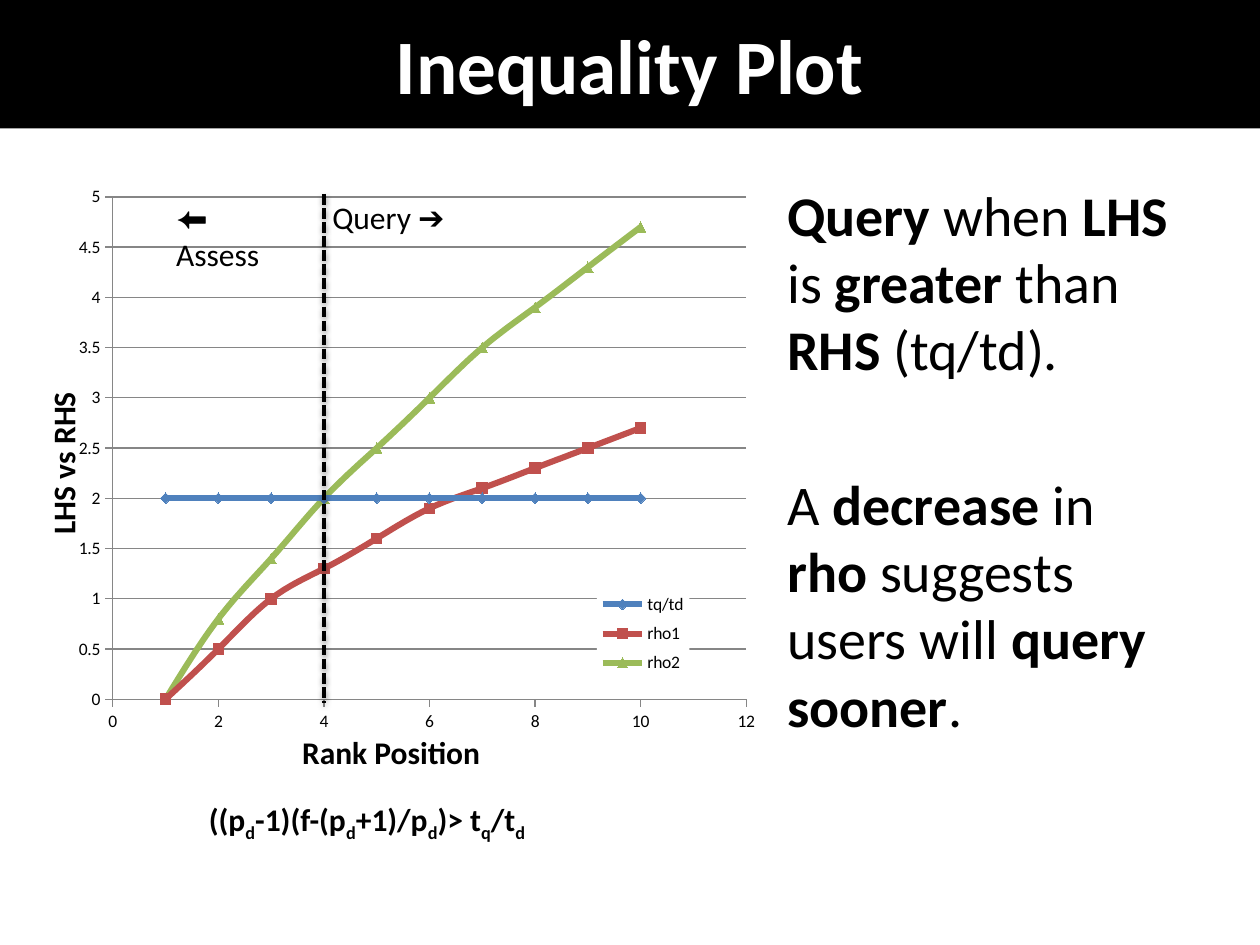
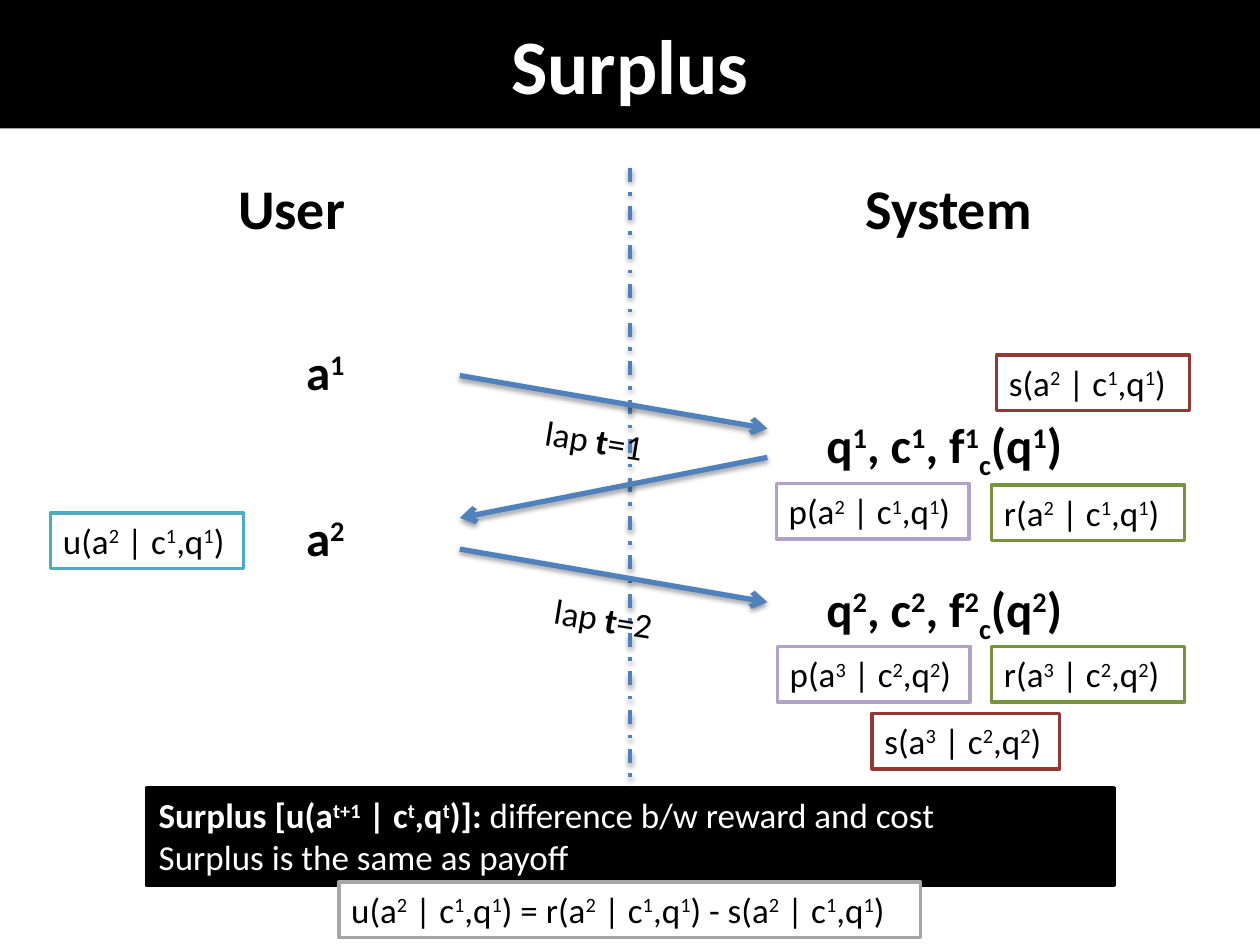
from dataclasses import dataclass
from typing import Optional

from lxml.etree import SubElement
from pptx import Presentation
from pptx.chart.data import XyChartData
from pptx.dml.color import RGBColor
from pptx.enum.chart import XL_CHART_TYPE, XL_LEGEND_POSITION, XL_MARKER_STYLE, XL_TICK_MARK
from pptx.enum.dml import MSO_LINE
from pptx.enum.shapes import MSO_CONNECTOR, MSO_SHAPE
from pptx.enum.text import MSO_ANCHOR, MSO_AUTO_SIZE, PP_ALIGN
from pptx.oxml import parse_xml
from pptx.oxml.ns import nsdecls, qn
from pptx.util import Cm, Pt

FONT = "Calibri"
BLACK = "000000"
WHITE = "FFFFFF"
BLUE = "4F81BD"
GRID = "868686"
PURPLE = "B3A2C7"
GREEN = "77933C"
RED = "953735"
TEAL = "4BACC6"
GRAY = "A6A6A6"
SLIDE_WIDTH = 25.4
SLIDE_HEIGHT = 19.05
BAND_HEIGHT = 2.59
SUPERSCRIPT = 30
SUBSCRIPT = -25


@dataclass(frozen=True)
class Run:
    text: str
    bold: Optional[bool] = None
    baseline: int = 0
    font: str = FONT


@dataclass(frozen=True)
class Label:
    left: float
    top: float
    width: float
    height: float
    paragraphs: list
    size: int = 20
    bold: bool = False
    color: str = BLACK
    fill: Optional[str] = None
    outline: Optional[str] = None
    rotation: float = 0
    wrap: bool = False
    gap: float = 0


@dataclass(frozen=True)
class Line:
    start_x: float
    start_y: float
    end_x: float
    end_y: float
    color: str = BLUE
    width: float = 3
    dash: Optional[MSO_LINE] = None
    arrow: bool = False


@dataclass(frozen=True)
class Curve:
    name: str
    values: list
    color: str
    marker: XL_MARKER_STYLE


def rgb(color: str) -> RGBColor:
    return RGBColor.from_string(color)


def alternating(baseline: int, *texts: str) -> list:
    return [Run(text, baseline=baseline * (index % 2)) for index, text in enumerate(texts)]


def emphasized(*texts: str) -> list:
    return [Run(text, bold=index % 2 == 1) for index, text in enumerate(texts) if text]


def score(name: str, action: int, lap: int) -> list:
    return alternating(SUPERSCRIPT, f"{name}(a", str(action), " | c", str(lap), ",q", str(lap), ")")


def add_run(paragraph, content: Run, size: int, bold: bool, color: str) -> None:
    run = paragraph.add_run()
    run.text = content.text
    run.font.name = content.font
    run.font.size = Pt(size)
    run.font.bold = bold if content.bold is None else content.bold
    run.font.color.rgb = rgb(color)
    if content.baseline:
        run._r.get_or_add_rPr().set("baseline", str(content.baseline * 1000))


def add_label(slide, label: Label) -> None:
    shape = slide.shapes.add_textbox(
        Cm(label.left), Cm(label.top), Cm(label.width), Cm(label.height)
    )
    shape.rotation = label.rotation
    if label.fill:
        shape.fill.solid()
        shape.fill.fore_color.rgb = rgb(label.fill)
    if label.outline:
        shape.line.color.rgb = rgb(label.outline)
        shape.line.width = Pt(2)
    frame = shape.text_frame
    frame.word_wrap = label.wrap
    frame.auto_size = MSO_AUTO_SIZE.SHAPE_TO_FIT_TEXT
    for index, runs in enumerate(label.paragraphs):
        paragraph = frame.add_paragraph() if index else frame.paragraphs[0]
        if index:
            paragraph.space_before = Pt(label.gap)
        for content in runs:
            add_run(paragraph, content, label.size, label.bold, label.color)


def add_line(slide, line: Line) -> None:
    connector = slide.shapes.add_connector(
        MSO_CONNECTOR.STRAIGHT,
        Cm(line.start_x), Cm(line.start_y), Cm(line.end_x), Cm(line.end_y),
    )
    connector.line.color.rgb = rgb(line.color)
    connector.line.width = Pt(line.width)
    if line.dash:
        connector.line.dash_style = line.dash
    properties = connector._element.spPr
    if line.arrow:
        SubElement(properties.find(qn("a:ln")), qn("a:tailEnd"), type="arrow")
    properties.append(parse_xml(
        f'<a:effectLst {nsdecls("a")}><a:outerShdw blurRad="{Pt(3.1)}" dist="{Pt(1.6)}" '
        'dir="5400000" rotWithShape="0"><a:srgbClr val="000000"><a:alpha val="38000"/>'
        "</a:srgbClr></a:outerShdw></a:effectLst>"
    ))


def add_titled_slide(presentation, title: str):
    slide = presentation.slides.add_slide(presentation.slide_layouts[6])
    band = slide.shapes.add_shape(
        MSO_SHAPE.RECTANGLE, 0, 0, Cm(SLIDE_WIDTH), Cm(BAND_HEIGHT)
    )
    band.shadow.inherit = False
    band.fill.solid()
    band.fill.fore_color.rgb = rgb(BLACK)
    band.line.fill.background()
    band.text_frame.vertical_anchor = MSO_ANCHOR.MIDDLE
    paragraph = band.text_frame.paragraphs[0]
    paragraph.alignment = PP_ALIGN.CENTER
    add_run(paragraph, Run(title), 44, True, WHITE)
    return slide


def manual_layout(left: float, top: float, width: float, height: float, target: str = ""):
    return parse_xml(
        f'<c:layout {nsdecls("c")}><c:manualLayout>{target}'
        '<c:xMode val="edge"/><c:yMode val="edge"/>'
        f'<c:x val="{left}"/><c:y val="{top}"/><c:w val="{width}"/><c:h val="{height}"/>'
        "</c:manualLayout></c:layout>"
    )


def style_axis(axis, maximum: float, step: float, gridlines: bool) -> None:
    axis.minimum_scale = 0
    axis.maximum_scale = maximum
    axis.major_unit = step
    axis.major_tick_mark = XL_TICK_MARK.OUTSIDE
    axis.minor_tick_mark = XL_TICK_MARK.NONE
    axis.has_major_gridlines = gridlines
    axis.tick_labels.number_format = "General"
    axis.tick_labels.number_format_is_linked = False
    lines = [axis.format.line]
    if gridlines:
        lines.append(axis.major_gridlines.format.line)
    for line in lines:
        line.color.rgb = rgb(GRID)
        line.width = Pt(0.75)


def add_inequality_chart(slide, curves: list) -> None:
    data = XyChartData()
    for curve in curves:
        points = data.add_series(curve.name)
        for rank, value in enumerate(curve.values, start=1):
            points.add_data_point(rank, value)
    chart = slide.shapes.add_chart(
        XL_CHART_TYPE.XY_SCATTER_SMOOTH, Cm(1.27), Cm(3.51), Cm(14.35), Cm(11.51), data
    ).chart
    chart.has_title = False
    chart.font.name = FONT
    chart.font.size = Pt(10)
    chart.font.color.rgb = rgb(BLACK)
    chart.plots[0].vary_by_categories = False
    style_axis(chart.category_axis, 12, 2, False)
    style_axis(chart.value_axis, 5, 0.5, True)
    for series, curve in zip(chart.plots[0].series, curves):
        series.format.line.color.rgb = rgb(curve.color)
        series.format.line.width = Pt(3.5)
        series.marker.style = curve.marker
        series.marker.size = 6
        series.marker.format.fill.solid()
        series.marker.format.fill.fore_color.rgb = rgb(curve.color)
        series.marker.format.line.color.rgb = rgb(curve.color)
    chart.has_legend = True
    chart.legend.position = XL_LEGEND_POSITION.RIGHT
    chart.legend.include_in_layout = False

    chart_space = chart._chartSpace
    for smooth in chart_space.iter(qn("c:smooth")):
        smooth.set("val", "1")
    plot_area = next(chart_space.iter(qn("c:plotArea")))
    legend = next(chart_space.iter(qn("c:legend")))
    for parent in (plot_area, legend):
        for layout in parent.findall(qn("c:layout")):
            parent.remove(layout)
    plot_area.insert(
        0, manual_layout(0.07, 0.04, 0.89, 0.88, '<c:layoutTarget val="inner"/>')
    )
    overlay = legend.find(qn("c:overlay"))
    overlay.addprevious(manual_layout(0.75, 0.72, 0.13, 0.17))
    overlay.addnext(parse_xml(
        f'<c:spPr {nsdecls("c", "a")}><a:solidFill><a:srgbClr val="{WHITE}"/>'
        "</a:solidFill></c:spPr>"
    ))


def build_inequality_slide(presentation) -> None:
    slide = add_titled_slide(presentation, "Inequality Plot")
    rule = emphasized(
        "", "Query", " when ", "LHS", " is ", "greater", " than ", "RHS", " (tq/td)."
    )
    effect = emphasized(
        "A ", "decrease", " in ", "rho", " suggests users will ", "query sooner", "."
    )
    add_label(slide, Label(15.62, 3.51, 8.51, 13.51, [rule, effect], 32, wrap=True, gap=50))
    add_inequality_chart(slide, [
        Curve("tq/td", [2] * 10, BLUE, XL_MARKER_STYLE.DIAMOND),
        Curve("rho1", [0, 0.5, 1, 1.3, 1.6, 1.9, 2.1, 2.3, 2.5, 2.7], "C0504D",
              XL_MARKER_STYLE.SQUARE),
        Curve("rho2", [0, 0.8, 1.4, 2, 2.5, 3, 3.5, 3.9, 4.3, 4.7], "9BBB59",
              XL_MARKER_STYLE.TRIANGLE),
    ])
    add_line(slide, Line(6.53, 3.91, 6.53, 14.17, BLACK, 2, MSO_LINE.SQUARE_DOT))
    inequality = alternating(
        SUBSCRIPT, "((p", "d", "-1)(f-(p", "d", "+1)/p", "d", ")> t", "q", "/t", "d"
    )
    for label in (
        Label(5.84, 14.66, 4.14, 1.02, [[Run("Rank Position")]], 18, True),
        Label(-0.43, 8.81, 3.4, 1.02, [[Run("LHS vs RHS")]], 18, True, rotation=270),
        Label(3.3, 3.86, 2.9, 1.02, [[Run("⬅", font="Arial"), Run(" Assess")]], 18),
        Label(6.45, 3.86, 2.8, 1.02, [[Run("Query "), Run("➔", font="Arial")]], 18),
        Label(3.96, 16, 7.11, 1.02, [inequality], 18, True),
    ):
        add_label(slide, label)


def build_surplus_slide(presentation) -> None:
    slide = add_titled_slide(presentation, "Surplus")
    add_line(slide, Line(12.7, 3.38, 12.7, 18.03, width=2, dash=MSO_LINE.DASH_DOT))
    for left, width, heading in ((4.55, 2.69, "User"), (17.2, 3.94, "System")):
        add_label(slide, Label(left, 3.38, width, 1.63, [[Run(heading)]], 32, True))
    for start_x, start_y, end_x, end_y in (
        (9.27, 7.57, 15.47, 8.64), (9.27, 11.07, 15.47, 12.14), (15.47, 9.22, 9.27, 10.44)
    ):
        add_line(slide, Line(start_x, start_y, end_x, end_y, arrow=True))

    for lap, action_top, query_top, lap_left, lap_top in (
        (1, 6.76, 8.23, 10.74, 8.31), (2, 10.11, 11.53, 10.92, 11.91)
    ):
        number = str(lap)
        action = alternating(SUPERSCRIPT, "a", number)
        query = [
            *alternating(SUPERSCRIPT, "q", number, ", c", number, ", f", number),
            Run("c", baseline=SUBSCRIPT),
            *alternating(SUPERSCRIPT, "(q", number, ")"),
        ]
        add_label(slide, Label(5.92, action_top, 1.35, 1.45, [action], 28, True))
        add_label(slide, Label(16.41, query_top, 5.54, 1.45, [query], 28, True))
        caption = emphasized("lap ", "t", f"={lap}")
        add_label(slide, Label(lap_left, lap_top, 2.51, 1.12, [caption], rotation=9.2))

    definition = [
        Run(run.text, True, run.baseline)
        for run in alternating(SUPERSCRIPT, "Surplus [u(a", "t+1", " | c", "t", ",q", "t", ")]:")
    ] + [Run(" difference b/w reward and cost")]
    add_label(slide, Label(
        2.95, 15.88, 19.51, 1.96, [definition, [Run("Surplus is the same as payoff")]],
        color=WHITE, fill=BLACK, outline=BLACK, wrap=True,
    ))
    payoff = [
        *score("u", 2, 1), Run(" = "), *score("r", 2, 1), Run(" - "), *score("s", 2, 1)
    ]
    for left, top, width, runs, outline in (
        (15.65, 9.75, 3.89, score("p", 2, 1), PURPLE),
        (15.67, 13.03, 3.89, score("p", 3, 2), PURPLE),
        (19.99, 9.78, 3.89, score("r", 2, 1), GREEN),
        (19.99, 13.03, 3.89, score("r", 3, 2), GREEN),
        (20.09, 7.16, 3.89, score("s", 2, 1), RED),
        (17.58, 14.38, 3.78, score("s", 3, 2), RED),
        (1.02, 10.34, 3.89, score("u", 2, 1), TEAL),
        (6.83, 17.78, 11.73, payoff, GRAY),
    ):
        add_label(slide, Label(left, top, width, 1.12, [runs], fill=WHITE, outline=outline))


def main() -> None:
    presentation = Presentation()
    presentation.slide_width = Cm(SLIDE_WIDTH)
    presentation.slide_height = Cm(SLIDE_HEIGHT)
    build_inequality_slide(presentation)
    build_surplus_slide(presentation)
    presentation.save("out.pptx")


if __name__ == "__main__":
    main()
